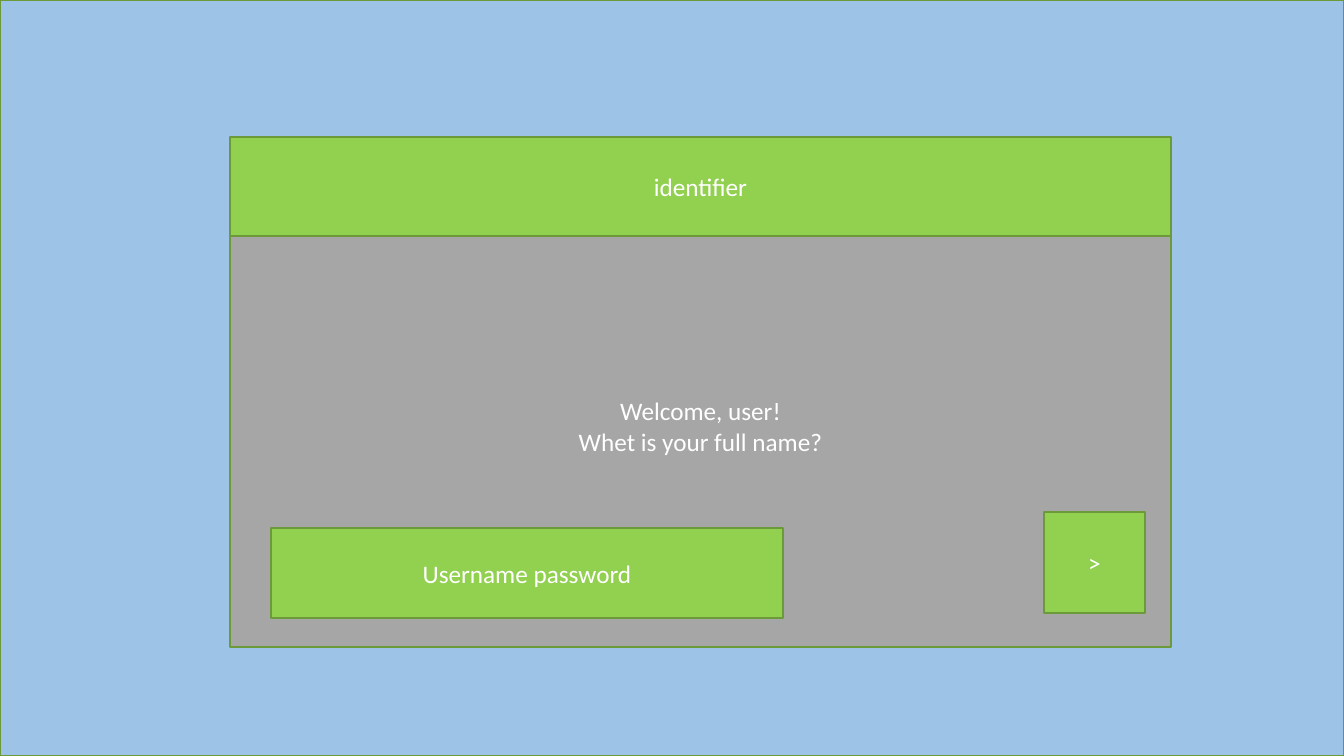
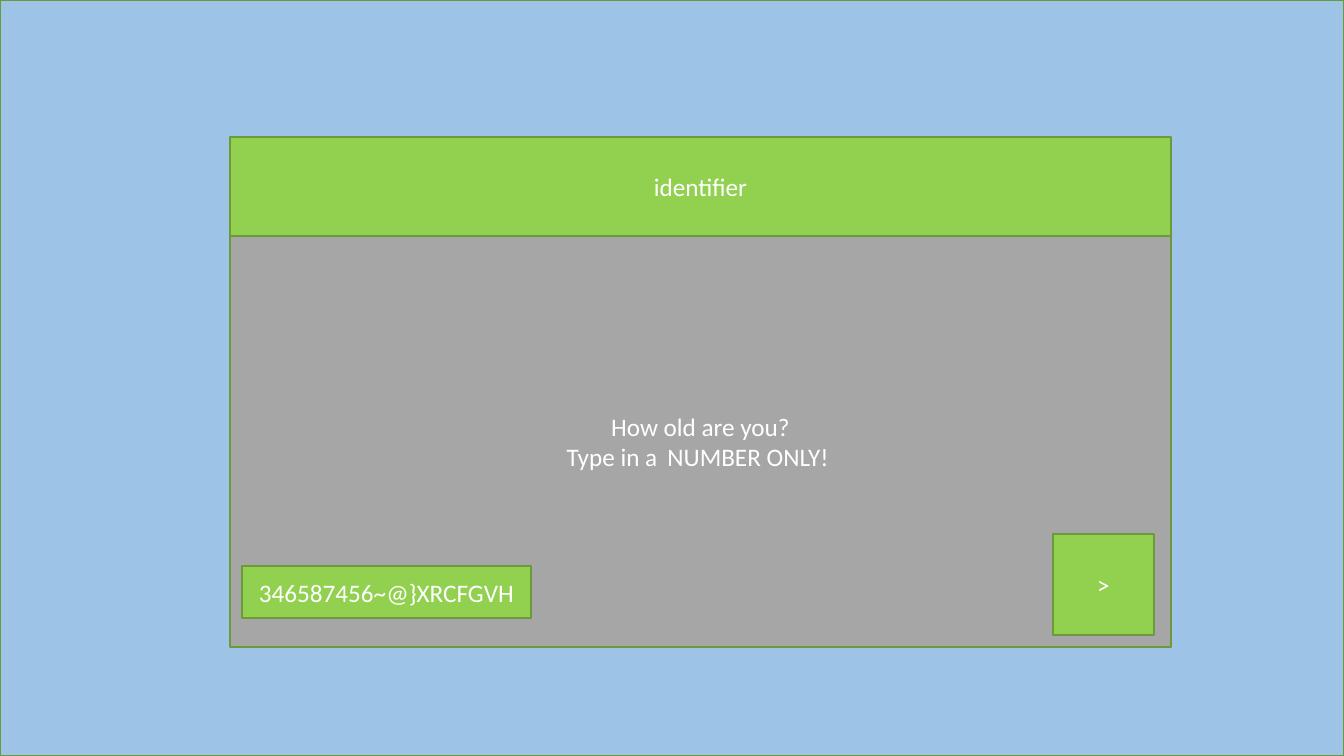
"""Build two sign-in dialog mock-up slides."""
from pptx import Presentation
from pptx import util as u
from pptx.dml import color
from pptx.enum import shapes, text

PX = 12192000 / 1344
WIDTH, HEIGHT = 1344, 756
LEFT, TOP, PANEL_W, TITLE_H, BODY_H = 230, 137, 941, 99, 411
NEXT_SIZE = 101
INSET, LINE_H = 5, 31
COLORS = {
    "sky": "9DC3E6",
    "panel": "A6A6A6",
    "green": "92D050",
    "border": "6C9A3B",
    "text": "FFFFFF",
}


def px(n):
    return u.Emu(round(n * PX))


def add_box(s, lines, x, y, w, h, fill="green", size=18, bottom=INSET):
    sp = s.shapes.add_shape(shapes.MSO_SHAPE.RECTANGLE, px(x), px(y), px(w), px(h))
    sp.shadow.inherit = False
    sp.fill.solid()
    sp.fill.fore_color.rgb = color.RGBColor.from_string(COLORS[fill])
    sp.line.color.rgb = color.RGBColor.from_string(COLORS["border"])
    sp.line.width = u.Pt(1)
    tf = sp.text_frame
    tf.word_wrap = True
    tf.vertical_anchor = text.MSO_ANCHOR.MIDDLE
    tf.margin_top, tf.margin_bottom = px(INSET), px(bottom)
    for i, line in enumerate(lines):
        p = tf.add_paragraph() if i else tf.paragraphs[0]
        p.alignment = text.PP_ALIGN.CENTER
        r = p.add_run()
        r.text = line
        r.font.name = "Calibri"
        r.font.size = u.Pt(size)
        r.font.color.rgb = color.RGBColor.from_string(COLORS["text"])


dialogs = [
    {
        "prompt": ["Welcome, user!", "Whet is your full name?"],
        "bottom": INSET + LINE_H,
        "entry": "Username password",
        "entry_at": (271, 528, 512, 90),
        "next_at": (1044, 512),
    },
    {
        "prompt": ["How old are you?", "Type in a \tNUMBER ONLY! "],
        "bottom": INSET,
        "entry": "346587456~@}XRCFGVH",
        "entry_at": (242, 566, 289, 52),
        "next_at": (1053, 534),
    },
]

prs = Presentation()
prs.slide_width, prs.slide_height = px(WIDTH), px(HEIGHT)

for d in dialogs:
    s = prs.slides.add_slide(prs.slide_layouts[6])
    add_box(s, [], 0, 0, WIDTH, HEIGHT, fill="sky")
    add_box(s, d["prompt"], LEFT, TOP + TITLE_H, PANEL_W, BODY_H,
            fill="panel", bottom=d["bottom"])
    add_box(s, ["identifier"], LEFT, TOP, PANEL_W, TITLE_H)
    add_box(s, [d["entry"]], *d["entry_at"])
    add_box(s, [">"], *d["next_at"], NEXT_SIZE, NEXT_SIZE)

prs.save("out.pptx")
